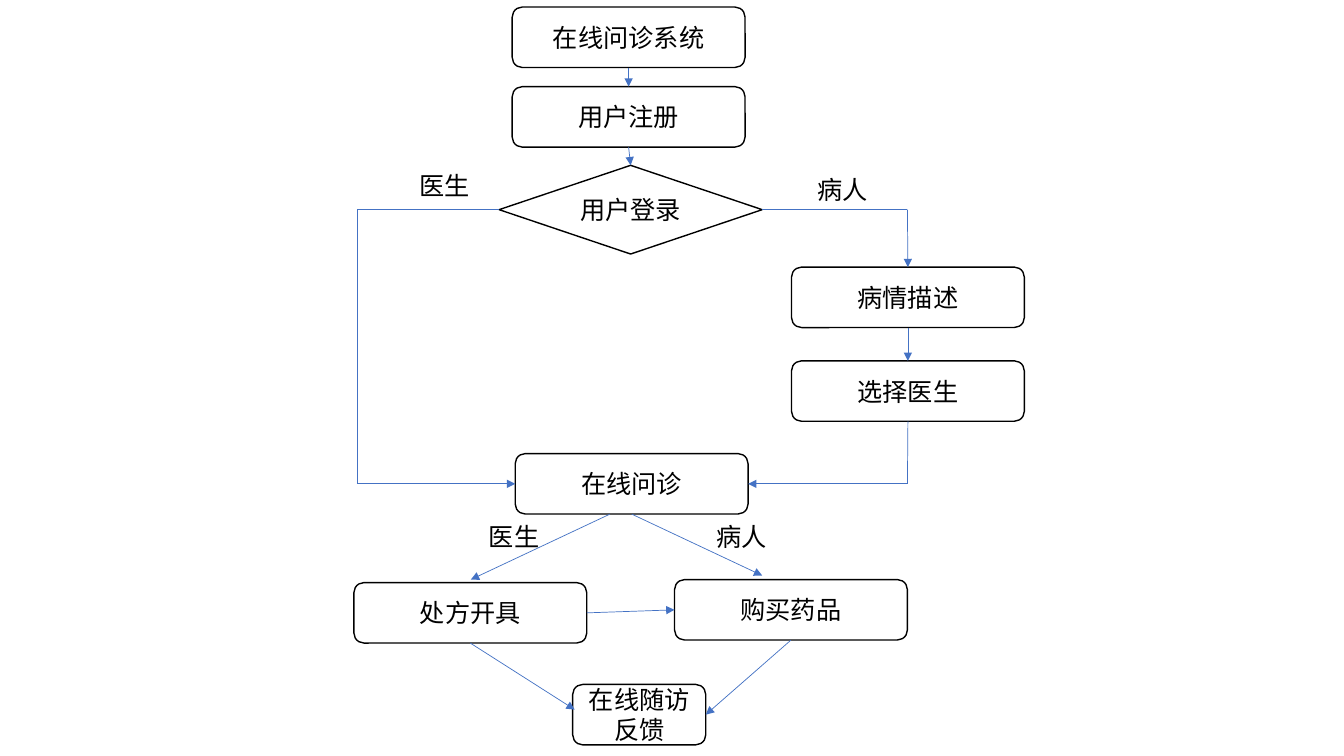
from lxml import etree
from pptx import Presentation
from pptx import util as u
from pptx.dml.color import RGBColor
from pptx.enum import shapes, text
from pptx.oxml import ns

PX = 9144
FONT = "Noto Sans CJK SC"
BLACK = RGBColor(0x00, 0x00, 0x00)
WHITE = RGBColor(0xFF, 0xFF, 0xFF)
BLUE = RGBColor(0x44, 0x72, 0xC4)
ROUNDED = shapes.MSO_SHAPE.ROUNDED_RECTANGLE
DIAMOND = shapes.MSO_SHAPE.DIAMOND
TOP, LEFT, BOTTOM, RIGHT = range(4)
BOX_WIDTH, BOX_HEIGHT = 231, 60


def px(*lengths):
    return [u.Emu(length * PX) for length in lengths]


def write(shape, words, align):
    frame = shape.text_frame
    frame.word_wrap = True
    frame.text = words
    para = frame.paragraphs[0]
    para.alignment = align
    span = para.runs[0]
    span.font.name = FONT
    span.font.size = u.Pt(18)
    span.font.color.rgb = BLACK
    east_asian = etree.SubElement(span.font._element, ns.qn("a:ea"))
    east_asian.set("typeface", FONT)


def add_step(page, words, left, top, width=BOX_WIDTH, height=BOX_HEIGHT, kind=ROUNDED):
    box = page.shapes.add_shape(kind, *px(left, top, width, height))
    box.shadow.inherit = False
    box.fill.solid()
    box.fill.fore_color.rgb = WHITE
    box.line.color.rgb = BLACK
    box.line.width = u.Pt(1)
    box.text_frame.vertical_anchor = text.MSO_ANCHOR.MIDDLE
    write(box, words, text.PP_ALIGN.CENTER)
    return box


def add_label(page, words, left, top):
    label = page.shapes.add_textbox(*px(left, top, 82, 40))
    write(label, words, text.PP_ALIGN.LEFT)
    label.text_frame.auto_size = text.MSO_AUTO_SIZE.SHAPE_TO_FIT_TEXT


def locate(stop):
    if isinstance(stop[0], int):
        return px(*stop)
    box, side = stop
    across = {LEFT: 0, RIGHT: box.width}.get(side, box.width // 2)
    down = {TOP: 0, BOTTOM: box.height}.get(side, box.height // 2)
    return [box.left + across, box.top + down]


def add_route(page, *stops):
    for start, end in zip(stops, stops[1:]):
        line = page.shapes.add_connector(
            shapes.MSO_CONNECTOR.STRAIGHT, *locate(start), *locate(end))
        if not isinstance(start[0], int):
            line.begin_connect(*start)
        if not isinstance(end[0], int):
            line.end_connect(*end)
        line.line.color.rgb = BLUE
        line.line.width = u.Pt(0.5)
        if end is stops[-1]:
            head = etree.SubElement(line.line._get_or_add_ln(), ns.qn("a:tailEnd"))
            head.set("type", "triangle")
        etree.SubElement(line._element.spPr, ns.qn("a:effectLst"))


def main():
    deck = Presentation()
    deck.slide_width, deck.slide_height = px(1333, 750)
    page = deck.slides.add_slide(deck.slide_layouts[6])

    system = add_step(page, "在线问诊系统", 508, 7)
    register = add_step(page, "用户注册", 508, 86)
    login = add_step(page, "用户登录", 495, 164, 261, 88, DIAMOND)
    describe = add_step(page, "病情描述", 785, 265)
    choose = add_step(page, "选择医生", 785, 358)
    consult = add_step(page, "在线问诊", 511, 450)
    prescribe = add_step(page, "处方开具", 351, 578)
    purchase = add_step(page, "购买药品", 669, 575)
    follow_up = add_step(page, "在线随访反馈", 568, 679, 132)

    add_route(page, (system, BOTTOM), (register, TOP))
    add_route(page, (register, BOTTOM), (login, TOP))
    add_route(page, (login, RIGHT), (900, 208), (describe, TOP))
    add_route(page, (describe, BOTTOM), (choose, TOP))
    add_route(page, (choose, BOTTOM), (900, 480), (consult, RIGHT))
    add_route(page, (login, LEFT), (354, 208), (354, 480), (consult, LEFT))
    add_route(page, (605, 510), (467, 575))
    add_route(page, (consult, BOTTOM), (756, 571))
    add_route(page, (prescribe, RIGHT), (purchase, LEFT))
    add_route(page, (prescribe, BOTTOM), (570, 704))
    add_route(page, (purchase, BOTTOM), (follow_up, RIGHT))

    for words, left, top in (("医生", 406, 164), ("病人", 801, 168),
                             ("医生", 475, 512), ("病人", 701, 512)):
        add_label(page, words, left, top)

    deck.save("out.pptx")


if __name__ == "__main__":
    main()
